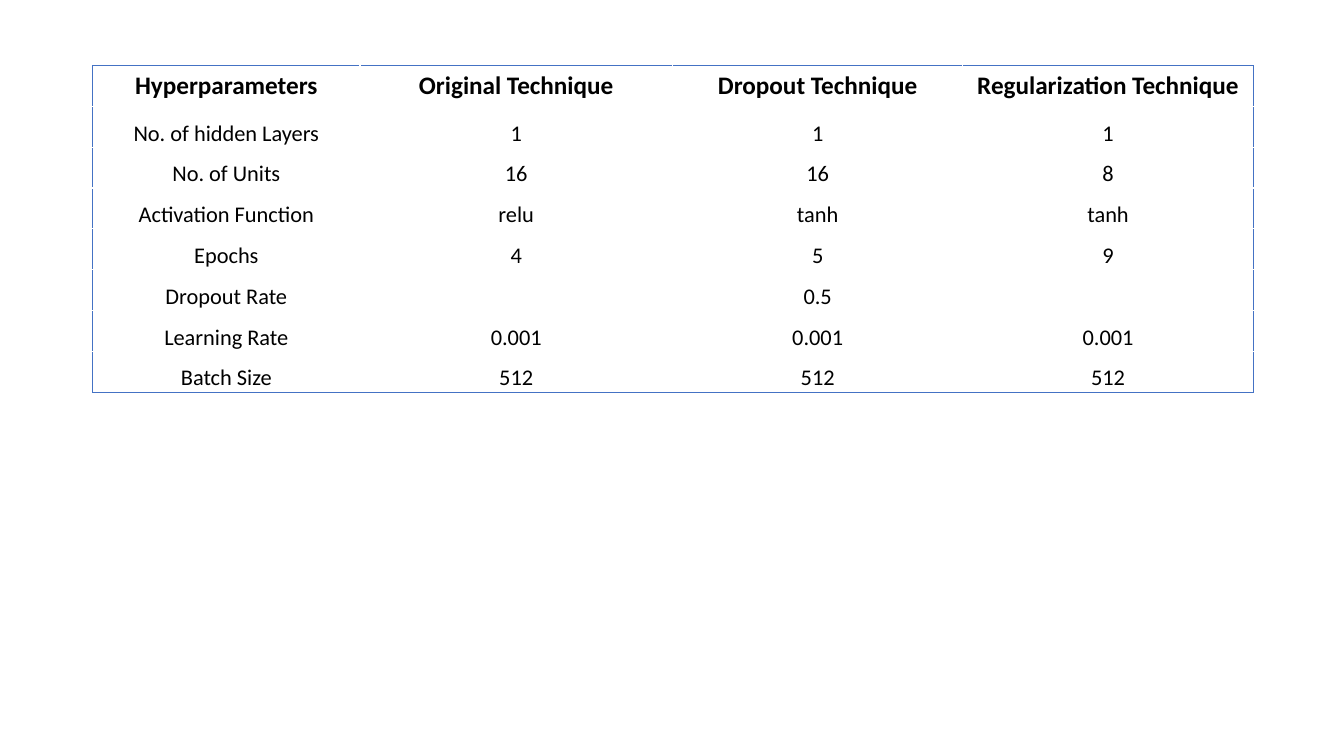
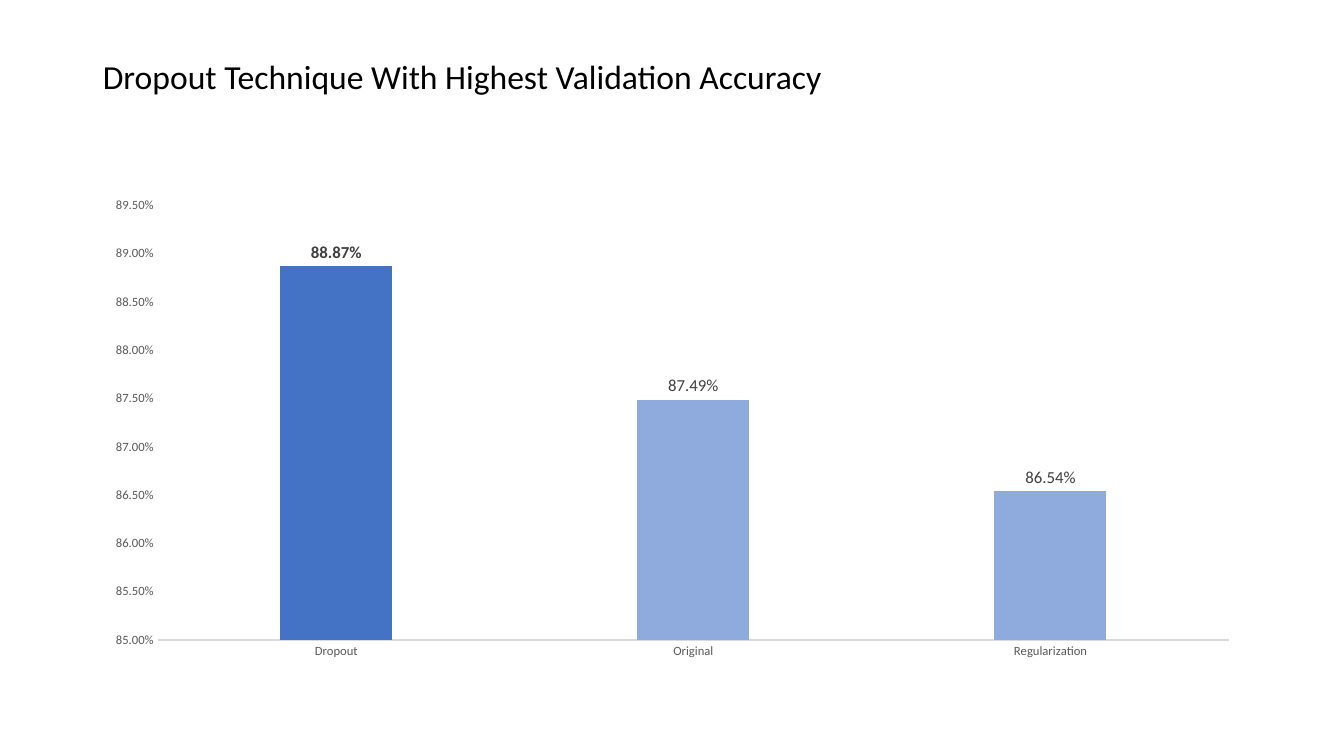
"""Build two slides comparing training techniques for a neural network."""
from lxml.etree import SubElement
from pptx import Presentation
from pptx.chart.data import CategoryChartData
from pptx.dml.color import RGBColor
from pptx.enum.chart import XL_CHART_TYPE, XL_LABEL_POSITION, XL_TICK_MARK
from pptx.enum.text import MSO_ANCHOR, MSO_AUTO_SIZE, PP_ALIGN
from pptx.oxml.ns import qn
from pptx.util import Inches, Pt

FONT = "Calibri"
BLACK = RGBColor(0x00, 0x00, 0x00)
WHITE = RGBColor(0xFF, 0xFF, 0xFF)
BLUE = RGBColor(0x44, 0x72, 0xC4)
LIGHT_BLUE = RGBColor(0x8F, 0xAA, 0xDC)
DARK_GREY = RGBColor(0x40, 0x40, 0x40)
GREY = RGBColor(0x59, 0x59, 0x59)
LIGHT_GREY = RGBColor(0xD9, 0xD9, 0xD9)
LEFT, WIDTH = Inches(0.92), Inches(11.5)
TITLE_ONLY, BLANK = 5, 6

COLUMN_WIDTHS = [2.65, 3.1, 2.88, 2.88]
HYPERPARAMETERS = [
    ["Hyperparameters", "Original Technique", "Dropout Technique", "Regularization Technique"],
    ["No. of hidden Layers", "1", "1", "1"],
    ["No. of Units", "16", "16", "8"],
    ["Activation Function", "relu", "tanh", "tanh"],
    ["Epochs", "4", "5", "9"],
    ["Dropout Rate", "", "0.5", ""],
    ["Learning Rate", "0.001", "0.001", "0.001"],
    ["Batch Size", "512", "512", "512"],
]
ACCURACY = {"Dropout": 0.8887, "Original": 0.8749, "Regularization": 0.8654}


def style_font(font, size, color, bold=False):
    """Set the typeface, size, colour and weight of a font."""
    font.name, font.size, font.bold = FONT, Pt(size), bold
    font.color.rgb = color


def add_border(cell, side):
    """Draw a thin blue line on one side (L, R, T or B) of a cell."""
    tc_pr = cell._tc.get_or_add_tcPr()
    ln = SubElement(tc_pr, qn(f"a:ln{side}"), w=str(Pt(0.5)))
    fill = SubElement(ln, qn("a:solidFill"))
    SubElement(fill, qn("a:srgbClr"), val=str(BLUE))


def fill_cell(cell, text, header):
    """Write centred text into a cell on a white ground."""
    cell.fill.solid()
    cell.fill.fore_color.rgb = WHITE
    if not header:
        cell.vertical_anchor = MSO_ANCHOR.BOTTOM
        cell.margin_left = cell.margin_right = cell.margin_top = Inches(0.01)
        cell.margin_bottom = 0
    p = cell.text_frame.paragraphs[0]
    p.text = text
    p.alignment = PP_ALIGN.CENTER
    style_font(p.font, 18 if header else 16, BLACK, header)


def add_framed_table(slide, rows, widths, top, height):
    """Add a table whose only lines are its outer frame."""
    last_row, last_col = len(rows) - 1, len(widths) - 1
    table = slide.shapes.add_table(len(rows), len(widths), LEFT, top, WIDTH, height).table
    table.first_row = table.horz_banding = False
    for column, width in zip(table.columns, widths):
        column.width = Inches(width)
    for i, row in enumerate(rows):
        for j, text in enumerate(row):
            cell = table.cell(i, j)
            edges = {"L": j == 0, "R": j == last_col, "T": i == 0, "B": i == last_row}
            for side, on_edge in edges.items():
                if on_edge:
                    add_border(cell, side)
            fill_cell(cell, text, header=i == 0)


def set_title(slide, text):
    """Place and format the slide title."""
    title = slide.shapes.title
    title.left, title.top, title.width, title.height = LEFT, Inches(0.31), WIDTH, Inches(0.93)
    tf = title.text_frame
    tf.auto_size = MSO_AUTO_SIZE.NONE
    tf.vertical_anchor = MSO_ANCHOR.MIDDLE
    p = tf.paragraphs[0]
    p.text = text
    p.alignment = PP_ALIGN.LEFT
    p.line_spacing = 0.9
    style_font(p.font, 24, BLACK)


def style_axes(chart):
    """Format both axes of the chart."""
    for axis in (chart.category_axis, chart.value_axis):
        axis.has_major_gridlines = False
        axis.major_tick_mark = axis.minor_tick_mark = XL_TICK_MARK.NONE
        style_font(axis.tick_labels.font, 9, GREY)
    line = chart.category_axis.format.line
    line.color.rgb, line.width = LIGHT_GREY, Pt(0.75)
    axis = chart.value_axis
    axis.format.line.fill.background()
    axis.minimum_scale, axis.maximum_scale, axis.major_unit = 0.85, 0.895, 0.005
    axis.tick_labels.number_format = "0.00%"
    axis.tick_labels.number_format_is_linked = False


def style_labels(labels):
    """Show percentages above the columns."""
    labels.show_value = True
    labels.number_format, labels.number_format_is_linked = "0.00%", False
    labels.position = XL_LABEL_POSITION.OUTSIDE_END
    style_font(labels.font, 12, DARK_GREY)


def add_column_chart(slide, values, top, height):
    """Add a column chart that stresses its first column."""
    data = CategoryChartData(number_format="0.00%")
    data.categories = list(values)
    data.add_series("Series 1", list(values.values()))
    chart = slide.shapes.add_chart(
        XL_CHART_TYPE.COLUMN_CLUSTERED, LEFT, top, WIDTH, height, data).chart
    chart.has_legend = chart.has_title = False
    style_font(chart.font, 10, BLACK)
    style_axes(chart)
    plot = chart.plots[0]
    plot.gap_width, plot.overlap, plot.vary_by_categories = 219, -27, False
    series = plot.series[0]
    series.format.fill.solid()
    series.format.fill.fore_color.rgb = LIGHT_BLUE
    style_labels(series.data_labels)
    best = series.points[0]
    best.format.fill.solid()
    best.format.fill.fore_color.rgb = BLUE
    style_font(best.data_label.font, 12, DARK_GREY, bold=True)
    best.data_label.position = XL_LABEL_POSITION.OUTSIDE_END


def main():
    """Build and save the presentation."""
    prs = Presentation()
    prs.slide_width, prs.slide_height = Inches(13.33), Inches(7.5)

    s = prs.slides.add_slide(prs.slide_layouts[BLANK])
    add_framed_table(s, HYPERPARAMETERS, COLUMN_WIDTHS, Inches(0.65), Inches(3.24))

    s = prs.slides.add_slide(prs.slide_layouts[TITLE_ONLY])
    set_title(s, "Dropout Technique With Highest Validation Accuracy")
    add_column_chart(s, ACCURACY, Inches(1.87), Inches(4.76))

    prs.save("out.pptx")


main()
